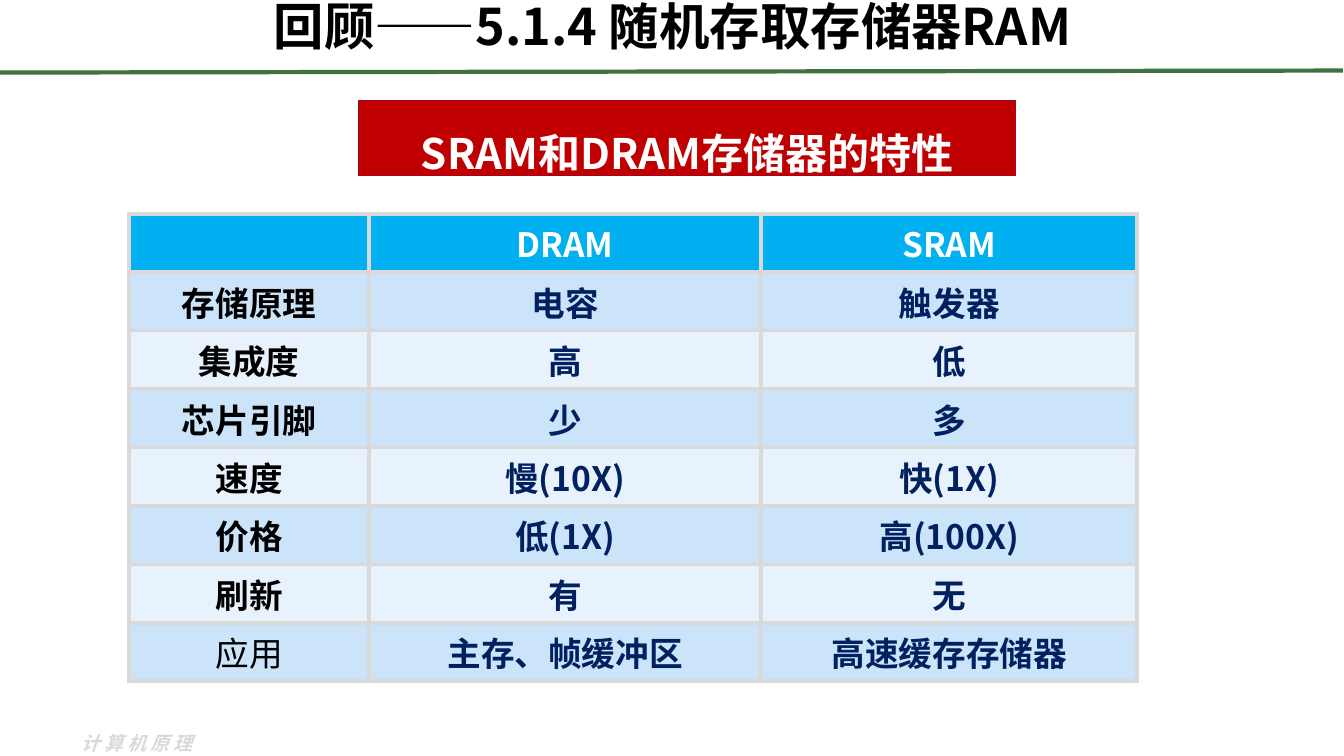
from lxml.etree import SubElement
from pptx import Presentation
from pptx.dml.color import RGBColor
from pptx.enum.shapes import MSO_CONNECTOR, MSO_SHAPE
from pptx.enum.text import MSO_ANCHOR, PP_ALIGN
from pptx.oxml import parse_xml
from pptx.oxml.ns import nsdecls, qn
from pptx.util import Emu, Pt

EMU_PER_PX = 9144
FONT = "Noto Sans CJK SC"
BLACK = RGBColor(0x00, 0x00, 0x00)
WHITE = RGBColor(0xFF, 0xFF, 0xFF)
NAVY = RGBColor(0x00, 0x20, 0x60)
GREEN = RGBColor(0x3F, 0x71, 0x41)
RED = RGBColor(0xC0, 0x00, 0x00)
CRIMSON = RGBColor(0xA5, 0x00, 0x21)
GRAY = RGBColor(0xD9, 0xD9, 0xD9)
SKY = RGBColor(0x00, 0xB0, 0xF0)
BAND_DARK = RGBColor(0xCB, 0xE4, 0xF9)
BAND_LIGHT = RGBColor(0xE7, 0xF2, 0xFC)

COLUMN_WIDTHS = (238, 389, 373)
ROW_HEIGHT = 58
ROWS = (
    ("", "DRAM", "SRAM"),
    ("存储原理", "电容", "触发器"),
    ("集成度", "高", "低"),
    ("芯片引脚", "少", "多"),
    ("速度", "慢(10X)", "快(1X)"),
    ("价格", "低(1X)", "高(100X)"),
    ("刷新", "有", "无"),
    ("应用", "主存、帧缓冲区", "高速缓存存储器"),
)


def px(length):
    return Emu(length * EMU_PER_PX)


def place(shape, left, top, width, height):
    shape.left, shape.top = px(left), px(top)
    shape.width, shape.height = px(width), px(height)


def write_text(frame, text, size, color, bold=True, align=PP_ALIGN.CENTER):
    frame.text = text
    para = frame.paragraphs[0]
    para.alignment = align
    for span in para.runs:
        font = span.font
        font.name, font.size, font.bold = FONT, Pt(size), bold
        font.color.rgb = color
        SubElement(font._element, qn("a:ea"), typeface=FONT)
    return para


def add_title(page, text):
    title = page.shapes.title
    place(title, 67, -3, 1200, 85)
    title.text_frame.vertical_anchor = MSO_ANCHOR.TOP
    write_text(title.text_frame, text, 36, BLACK).line_spacing = 0.9


def add_rule(page, start, end):
    rule = page.shapes.add_connector(
        MSO_CONNECTOR.STRAIGHT, *map(px, start + end))
    rule.line.color.rgb = GREEN
    rule.line.width = Pt(3)
    SubElement(rule._element.spPr, qn("a:effectLst"))


def add_banner(page, text):
    banner = page.shapes.add_shape(
        MSO_SHAPE.RECTANGLE, px(356), px(100), px(651), px(74))
    banner.shadow.inherit = False
    banner.fill.solid()
    banner.fill.fore_color.rgb = RED
    banner.line.color.rgb = CRIMSON
    banner.line.width = Pt(0.75)
    banner.text_frame.vertical_anchor = MSO_ANCHOR.MIDDLE
    para = write_text(banner.text_frame, text, 30, WHITE)
    para.line_spacing = 1.6
    para.space_before = Pt(1.5)


def add_footer(page, text):
    box = page.shapes.add_textbox(px(71), px(721), px(146), px(34))
    box.text_frame.word_wrap = True
    para = write_text(box.text_frame, text, 13.5, GRAY, align=PP_ALIGN.LEFT)
    font = para.runs[0].font
    font.italic = True
    font._element.set("spc", "300")


def add_borders(cell):
    properties = cell._tc.get_or_add_tcPr()
    for index, side in enumerate(("lnL", "lnR", "lnT", "lnB")):
        properties.insert(index, parse_xml(
            f'<a:{side} {nsdecls("a")} w="{Pt(3)}"><a:solidFill>'
            f'<a:srgbClr val="{GRAY}"/></a:solidFill></a:{side}>'))


def cell_colors(row, column):
    if row == 0:
        return SKY, WHITE
    band = BAND_DARK if row % 2 else BAND_LIGHT
    return band, NAVY if column else BLACK


def add_comparison(page, rows):
    table = page.shapes.add_table(
        len(rows), len(COLUMN_WIDTHS), px(128), px(212),
        px(sum(COLUMN_WIDTHS)), px(ROW_HEIGHT * len(rows))).table
    for column, width in zip(table.columns, COLUMN_WIDTHS):
        column.width = px(width)
    for row_index, texts in enumerate(rows):
        table.rows[row_index].height = px(ROW_HEIGHT)
        for column_index, text in enumerate(texts):
            cell = table.cell(row_index, column_index)
            fill, color = cell_colors(row_index, column_index)
            cell.fill.solid()
            cell.fill.fore_color.rgb = fill
            cell.vertical_anchor = MSO_ANCHOR.MIDDLE
            write_text(cell.text_frame, text, 24, color, bold=text != "应用")
            add_borders(cell)


def main():
    deck = Presentation()
    deck.slide_width, deck.slide_height = px(1333), px(750)
    page = deck.slides.add_slide(deck.slide_layouts[5])
    add_footer(page, "计算机原理")
    add_rule(page, (0, 72), (1332, 70))
    add_title(page, "回顾——5.1.4 随机存取存储器RAM")
    add_banner(page, "SRAM和DRAM存储器的特性")
    add_comparison(page, ROWS)
    deck.save("out.pptx")


if __name__ == "__main__":
    main()
